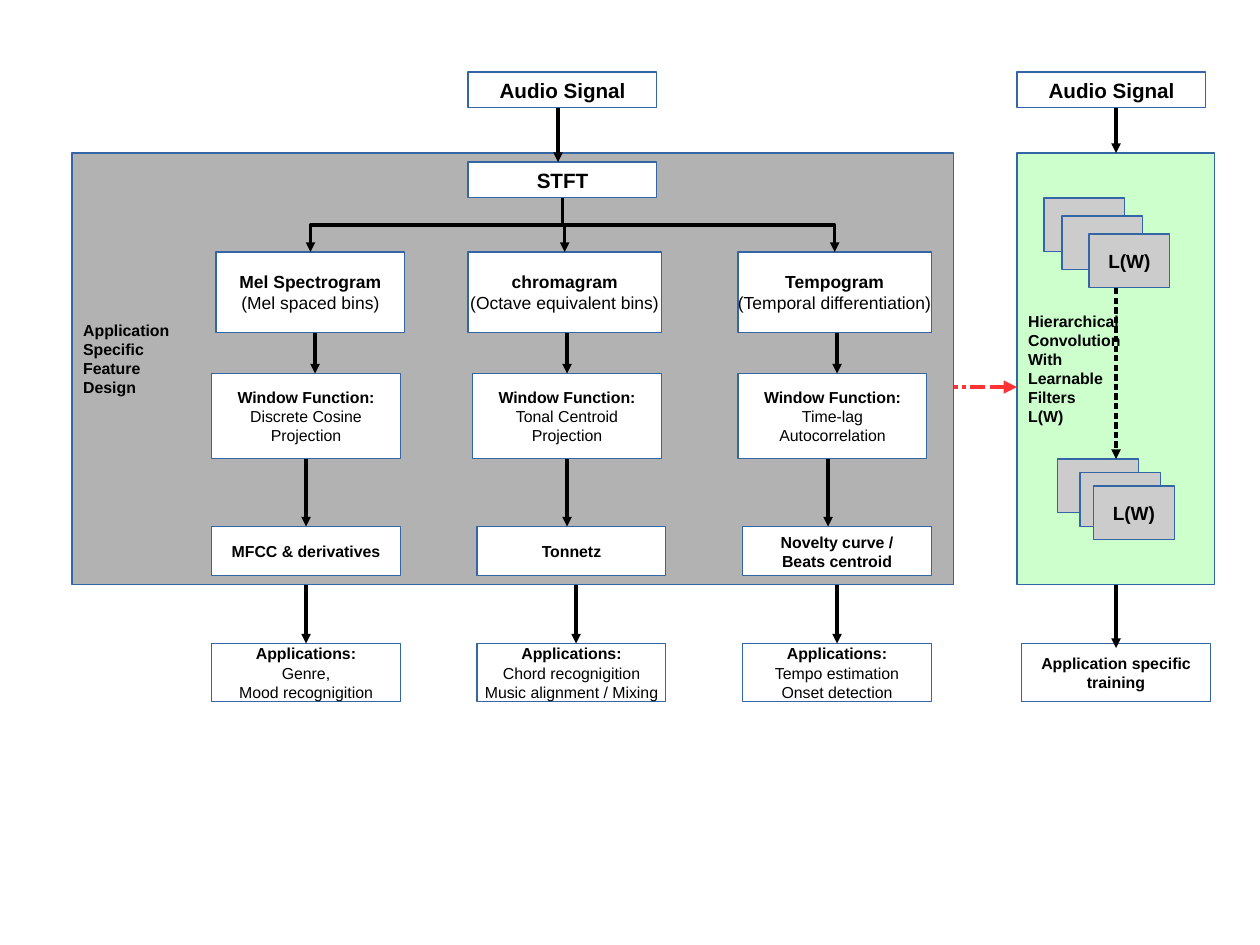
"""Audio feature design compared with learned filters, on a grid of 280 by 210 mm."""
from lxml import etree
from pptx import Presentation
from pptx.dml.color import RGBColor
from pptx.enum.shapes import MSO_CONNECTOR, MSO_SHAPE
from pptx.enum.text import MSO_ANCHOR, MSO_AUTO_SIZE, PP_ALIGN
from pptx.oxml.ns import qn
from pptx.util import Mm, Pt

RECT = MSO_SHAPE.RECTANGLE
LINE, ELBOW = MSO_CONNECTOR.STRAIGHT, MSO_CONNECTOR.ELBOW
MID, GROW = MSO_ANCHOR.MIDDLE, MSO_AUTO_SIZE.SHAPE_TO_FIT_TEXT
LEFT, CENTER, JUST = PP_ALIGN.LEFT, PP_ALIGN.CENTER, PP_ALIGN.JUSTIFY
COLORS = {key: RGBColor.from_string(code) for key, code in {
    "white": "FFFFFF", "black": "000000", "edge": "3465A4", "panel": "B2B2B2",
    "green": "CCFFCC", "layer": "CCCCCC", "red": "FF3333"}.items()}
WIDE = 42

deck = Presentation()
deck.slide_width, deck.slide_height = Mm(280), Mm(210)
slide = deck.slides.add_slide(deck.slide_layouts[6])
shapes = slide.shapes


def box(left, top, width, height, text="", size=10, fill="white", bold=9, align=CENTER):
    """Draw a box, or a plain label if fill is None; the first `bold` lines are bold."""
    area = [Mm(n) for n in (left, top, width, height)]
    if fill:
        item = shapes.add_shape(RECT, *area)
        item.shadow.inherit = False
        item.fill.solid()
        item.fill.fore_color.rgb = COLORS[fill]
        item.line.color.rgb = COLORS["edge"]
        item.line.width = 0
    else:
        item = shapes.add_textbox(*area)
    if not text:
        return
    frame = item.text_frame
    frame.text = text
    frame.word_wrap = not fill
    if fill:
        frame.vertical_anchor = MID
    else:
        frame.auto_size = GROW
    for row, para in enumerate(frame.paragraphs):
        para.alignment = align
        for run in para.runs:
            run.font.name, run.font.size = "Arial", Pt(size)
            run.font.bold = row < bold
            run.font.color.rgb = COLORS["black"]


def arrow(x1, y1, x2, y2, kind=LINE, color="black", width=0, dash=()):
    """Draw an arrow; dash lists (mark, gap) pairs in percent of the line width."""
    link = shapes.add_connector(kind, Mm(x1), Mm(y1), Mm(x2), Mm(y2))
    link.line.color.rgb = COLORS[color]
    link.line.width = Pt(width)
    props = link._element.spPr
    line = props.find(qn("a:ln"))
    if dash:
        marks = etree.SubElement(line, qn("a:custDash"))
        for mark, gap in dash:
            etree.SubElement(marks, qn("a:ds"), d=str(mark * 1000), sp=str(gap * 1000))
    etree.SubElement(line, qn("a:tailEnd"), type="triangle")
    etree.SubElement(props, qn("a:effectLst"))
    return link


box(16, 34, 196, 96, fill="panel")
box(104, 16, WIDE, 8, "Audio Signal", 13)
box(104, 36, WIDE, 8, "STFT", 13)

tracks = [
    ((48, 47, 47), WIDE, "Mel Spectrogram\n(Mel spaced bins)",
     "Discrete Cosine\nProjection", "MFCC & derivatives", "Genre,\nMood recognigition"),
    ((104, 105, 106), 43, "chromagram\n(Octave equivalent bins)",
     "Tonal Centroid\nProjection", "Tonnetz",
     "Chord recognigition\nMusic alignment / Mixing"),
    ((164, 164, 165), 43, "Tempogram\n(Temporal differentiation)",
     "Time-lag\nAutocorrelation", "Novelty curve /\nBeats centroid",
     "Tempo estimation\nOnset detection"),
]
for (top, mid, low), width, gram, window, result, usage in tracks:
    box(top, 56, width, 18, gram, 11, bold=1)
    box(mid, 83, WIDE, 19, "Window Function:\n" + window, bold=1)
    box(low, 117, WIDE, 11, result)
    box(low, 143, WIDE, 13, "Applications:\n" + usage, bold=1)

stem, fall = 125, 12
for goal in (69, 125.5, 185.5):
    side = 1 if goal < stem else -1
    midx, midy, half = (stem + goal) / 2, 44 + fall / 2, abs(goal - stem) / 2
    link = arrow(midx - side * fall / 2, midy - half,
                 midx + side * fall / 2, midy + half, ELBOW)
    link._element.spPr.xfrm.set("rot", str((90 if side > 0 else 270) * 60000))

for start, end, cols in [(24, 36, (124,)), (74, 83, (70, 126, 186)),
                         (102, 117, (68, 126, 184)), (130, 143, (68, 128, 186))]:
    for col in cols:
        arrow(col, start, col, end)

box(226, 16, WIDE, 8, "Audio Signal", 13)
box(226, 34, 44, 96, fill="green")
for stack in [((232, 44), (236, 48), (242, 52)), ((235, 102), (240, 105), (243, 108))]:
    for left, top in stack:
        text = "L(W)" if (left, top) == stack[-1] else ""
        box(left, top, 18, 12, text, 12, "layer")
arrow(248, 64, 248, 102, dash=[(200, 100)])
box(226, 68, 26, 26.5, "Hierarchical\nConvolution\nWith\nLearnable\nFilters\nL(W)",
    fill=None, align=LEFT)
box(227, 143, WIDE, 13, "Application specific\ntraining")
arrow(248, 130, 248, 144)
arrow(248, 24, 248, 34)
box(16, 70, 26, 18.5, "Application\nSpecific Feature\nDesign", fill=None, align=JUST)
arrow(212, 86, 226, 86, color="red", width=2.83,
      dash=[(80, 100), (80, 100), (340, 100), (340, 100)])

deck.save("out.pptx")
